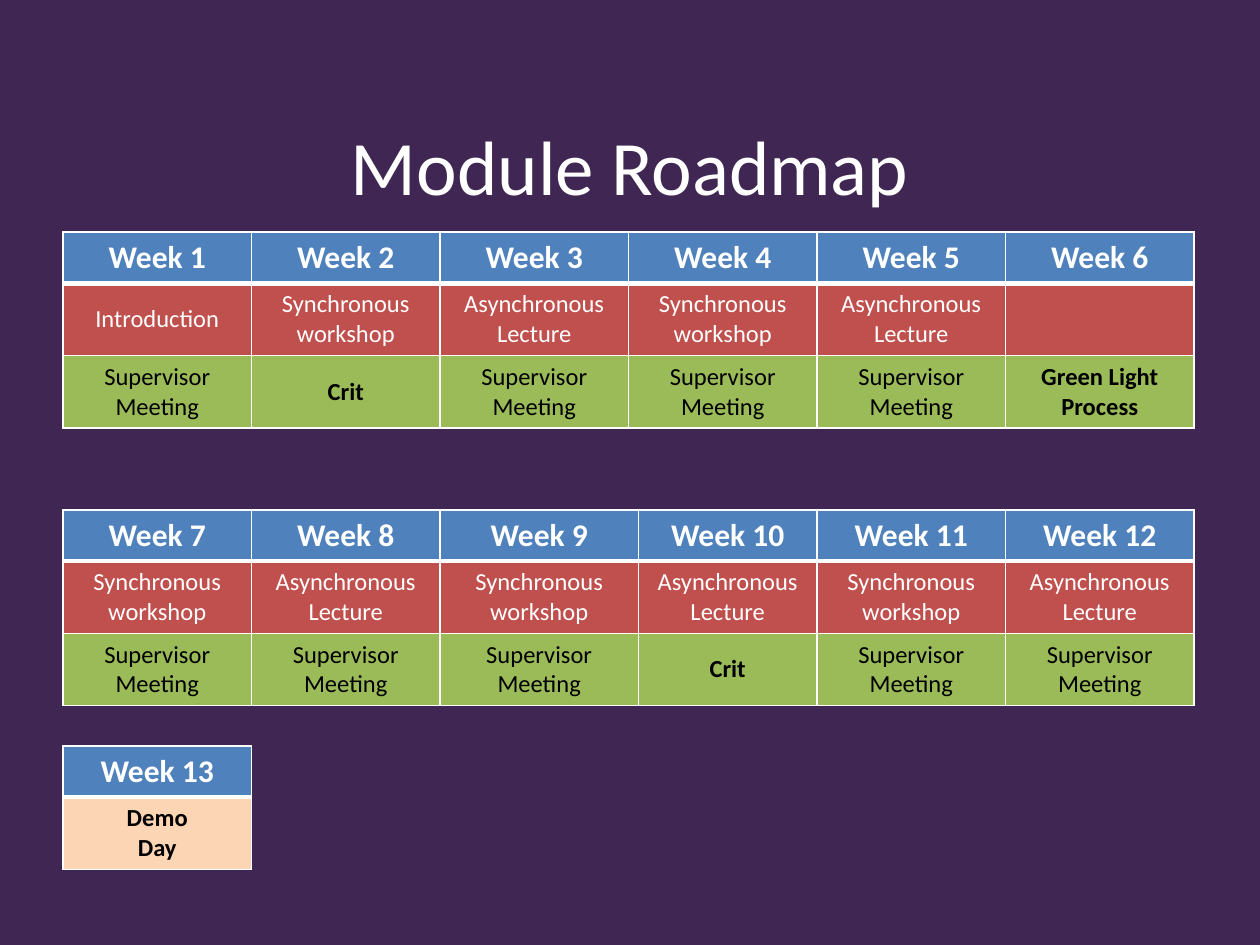
from lxml.etree import SubElement
from pptx import Presentation
from pptx.dml.color import RGBColor
from pptx.enum.text import MSO_ANCHOR as Anchor, PP_ALIGN as Align
from pptx.oxml.ns import qn
from pptx.util import Cm, Pt

FONT = "Calibri"
WHITE, BLACK, PURPLE = "FFFFFF", "000000", "402652"
BLUE, RED, GREEN, PEACH = "4F81BD", "C0504D", "9BBB59", "FCD5B5"
LEFT, COL_W = 1.27, 3.8
ROW_HEIGHTS = (1.03, 1.44, 1.46)
SYNC, ASYNC = "Synchronous workshop", "Asynchronous Lecture"
MEETING, CRIT = "Supervisor\nMeeting", "Crit"
GREEN_LIGHT, DEMO = "Green Light Process", "Demo\nDay"
MILESTONES = {CRIT, GREEN_LIGHT, DEMO}


def rgb(color):
    return RGBColor.from_string(color)


def write(tf, text, size=14, color=BLACK, bold=False):
    """Fill a text frame with one centred paragraph per line of text."""
    for i, line in enumerate(text.split("\n")):
        p = tf.paragraphs[0] if i == 0 else tf.add_paragraph()
        p.alignment = Align.CENTER
        p.font.size = Pt(size)
        if not line:
            continue
        r = p.add_run()
        r.text = line
        r.font.name, r.font.size, r.font.bold = FONT, Pt(size), bold
        r.font.color.rgb = rgb(color)


def set_borders(cell, top=1, bottom=1):
    """Draw white cell borders; call before the fill so the XML order is valid."""
    tcPr = cell._tc.get_or_add_tcPr()
    for side, width in (("L", 1), ("R", 1), ("T", top), ("B", bottom)):
        ln = SubElement(tcPr, qn(f"a:ln{side}"), w=str(Pt(width)))
        fill = SubElement(ln, qn("a:solidFill"))
        SubElement(fill, qn("a:srgbClr"), val=WHITE)


def add_title(s, text, left, top, width, height):
    sp = s.shapes.title
    sp.left, sp.top, sp.width, sp.height = map(Cm, (left, top, width, height))
    sp.text_frame.vertical_anchor = Anchor.MIDDLE
    write(sp.text_frame, text, size=44, color=WHITE)


def add_weeks(s, left, top, col_widths, first_week, body):
    """Place a header of week numbers above body rows of (fill, colour, texts)."""
    header = [f"Week {first_week + i}" for i in range(len(col_widths))]
    rows = [(BLUE, WHITE, header), *body]
    heights = ROW_HEIGHTS[:len(rows)]
    table = s.shapes.add_table(
        len(rows), len(col_widths), Cm(left), Cm(top),
        Cm(sum(col_widths)), Cm(sum(heights))).table
    for col, width in zip(table.columns, col_widths):
        col.width = Cm(width)
    for r, (fill, color, texts) in enumerate(rows):
        table.rows[r].height = Cm(heights[r])
        for c, text in enumerate(texts):
            cell = table.cell(r, c)
            set_borders(cell, top=3 if r == 1 else 1, bottom=3 if r == 0 else 1)
            cell.fill.solid()
            cell.fill.fore_color.rgb = rgb(fill)
            cell.vertical_anchor = Anchor.MIDDLE if r else Anchor.TOP
            write(cell.text_frame, text, size=14 if r else 18, color=color,
                  bold=r == 0 or text in MILESTONES)


def main():
    prs = Presentation()
    prs.slide_width, prs.slide_height = Cm(25.4), Cm(19.05)
    s = prs.slides.add_slide(prs.slide_layouts[5])
    s.background.fill.solid()
    s.background.fill.fore_color.rgb = rgb(PURPLE)

    add_title(s, "Module Roadmap", LEFT, 2.03, 22.86, 2.59)

    # Weeks 1 to 6
    add_weeks(s, LEFT, 4.68, [COL_W] * 6, 1, [
        (RED, WHITE, ["Introduction", SYNC, ASYNC, SYNC, ASYNC, ""]),
        (GREEN, BLACK, [MEETING, CRIT] + [MEETING] * 3 + [GREEN_LIGHT]),
    ])

    # Weeks 7 to 12
    add_weeks(s, LEFT, 10.28, [COL_W, COL_W, 4, 3.6, COL_W, COL_W], 7, [
        (RED, WHITE, [SYNC, ASYNC] * 3),
        (GREEN, BLACK, [MEETING] * 3 + [CRIT] + [MEETING] * 2),
    ])

    # Final week
    add_weeks(s, LEFT, 15.04, [COL_W], 13, [(PEACH, BLACK, [DEMO])])

    prs.save("out.pptx")


if __name__ == "__main__":
    main()
